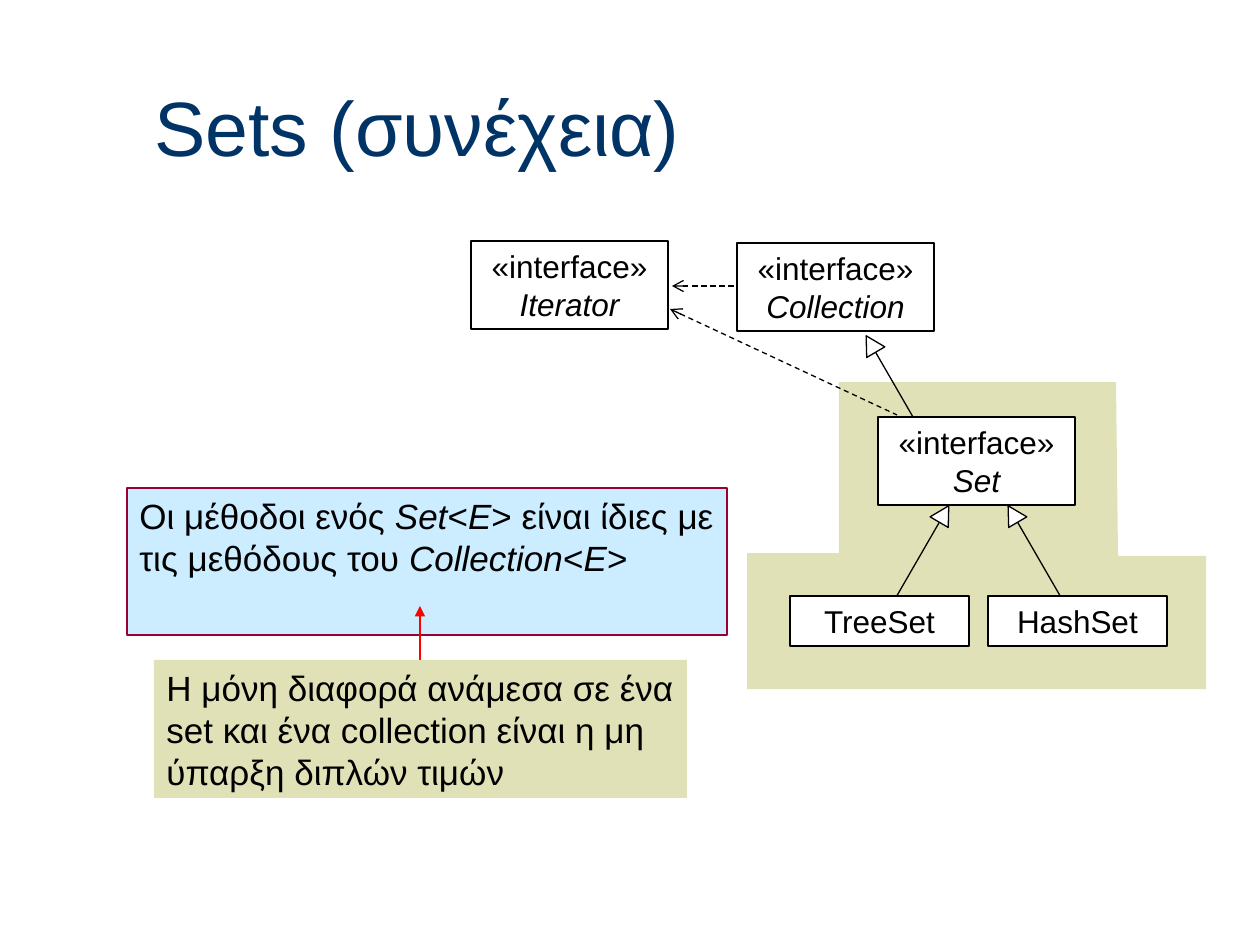
from lxml.etree import SubElement
from pptx import Presentation
from pptx.dml.color import RGBColor
from pptx.enum.dml import MSO_LINE
from pptx.enum.shapes import MSO_CONNECTOR, MSO_SHAPE
from pptx.enum.text import MSO_ANCHOR, PP_ALIGN
from pptx.oxml.ns import qn
from pptx.util import Pt

PX = 914400 / 126
BLACK = RGBColor(0, 0, 0)
WHITE = RGBColor(255, 255, 255)
NAVY = RGBColor(0, 51, 102)
SAND = RGBColor(225, 225, 183)
SKY = RGBColor(204, 236, 255)
WINE = RGBColor(153, 0, 51)
RED = RGBColor(255, 0, 0)


def emu(*vals):
    return [round(val * PX) for val in vals]


def style(shape, fill, edge):
    shape.shadow.inherit = False
    shape.fill.solid()
    shape.fill.fore_color.rgb = fill
    if edge is None:
        shape.line.fill.background()
    else:
        shape.line.color.rgb = edge
        shape.line.width = Pt(0.75)


def write(para, text, size, color=BLACK, align=PP_ALIGN.LEFT):
    para.text = text
    para.alignment = align
    font = para.font
    font.name, font.size, font.color.rgb = "Arial", Pt(size), color
    return font


def panel(slide, box, fill, edge):
    shape = slide.shapes.add_shape(MSO_SHAPE.RECTANGLE, *emu(*box))
    style(shape, fill, edge)
    frame = shape.text_frame
    frame.word_wrap = True
    frame.vertical_anchor = MSO_ANCHOR.TOP
    return frame


def link(slide, start, end, color=BLACK, dash=False, mark=None):
    line = slide.shapes.add_connector(MSO_CONNECTOR.STRAIGHT, *emu(*start, *end))
    line.line.color.rgb = color
    line.line.width = Pt(0.75)
    if dash:
        line.line.dash_style = MSO_LINE.DASH
    props = line._element.spPr
    if mark:
        tag, kind = mark
        SubElement(props.find(qn("a:ln")), qn(tag), type=kind)
    SubElement(props, qn("a:effectLst"))


def title(slide, box):
    frame = slide.shapes.add_textbox(*emu(*box)).text_frame
    frame.word_wrap = True
    frame.vertical_anchor = MSO_ANCHOR.MIDDLE
    write(frame.paragraphs[0], "Sets (συνέχεια)", 44, NAVY)


def entity(slide, box, name, iface):
    frame = panel(slide, box, WHITE, BLACK)
    para = frame.paragraphs[0]
    if iface:
        write(para, "«interface»", 18, align=PP_ALIGN.CENTER)
        para = frame.add_paragraph()
    write(para, name, 18, align=PP_ALIGN.CENTER).italic = iface


def inherit(slide, x, y, side):
    link(slide, (x + side, y + 2), (x + 53 * side, y + 92))
    tip = slide.shapes.add_shape(MSO_SHAPE.ISOSCELES_TRIANGLE,
                                 *emu(x - 10.5, y - 9.5, 21, 19))
    tip.rotation = -30.4 * side
    style(tip, WHITE, BLACK)


def diagram(slide, left, top):
    area = [(368, 141), (368, 312), (276, 312), (276, 448),
            (735, 448), (735, 315), (647, 315), (645, 141)]
    form = slide.shapes.build_freeform(*area[0], scale=PX)
    form.add_line_segments(area[1:], close=True)
    style(form.convert_to_shape(*emu(left, top)), SAND, None)

    for x1, y1, x2, y2 in [(201, 45, 264, 45), (199, 68, 426, 174)]:
        link(slide, (left + x1, top + y1), (left + x2, top + y2),
             dash=True, mark=("a:headEnd", "arrow"))
    for x, y, side in [(473, 273, -1), (542, 273, 1), (400, 103, 1)]:
        inherit(slide, left + x, top + y, side)

    for x, y, name in [(0, 0, "Iterator"), (266, 2, "Collection"), (407, 176, "Set")]:
        entity(slide, (left + x, top + y, 197, 88), name, True)
    for x, name in [(319, "TreeSet"), (517, "HashSet")]:
        entity(slide, (left + x, top + 355, 179, 50), name, False)


def notes(slide, left, top):
    para = panel(slide, (left, top, 600, 147), SKY, WINE).paragraphs[0]
    write(para, "", 20)
    parts = ["Οι μέθοδοι ενός ", "Set", "<", "E",
             "> είναι ίδιες με τις μεθόδους του ", "Collection", "<", "E", ">"]
    for i, part in enumerate(parts):
        run = para.add_run()
        run.text = part
        run.font.italic = i % 2 == 1

    link(slide, (left + 293, top + 220), (left + 293, top + 118), RED,
         mark=("a:tailEnd", "triangle"))
    frame = panel(slide, (left + 27, top + 172, 533, 138), SAND, None)
    write(frame.paragraphs[0], "Η μόνη διαφορά ανάμεσα σε ένα set και ένα "
          "collection είναι η μη ύπαρξη διπλών τιμών", 20)


def main():
    deck = Presentation()
    deck.slide_width, deck.slide_height = emu(1260, 945)
    slide = deck.slides.add_slide(deck.slide_layouts[6])
    title(slide, (142, 67, 1071, 118))
    diagram(slide, 471, 241)
    notes(slide, 127, 488)
    deck.save("out.pptx")


if __name__ == "__main__":
    main()
